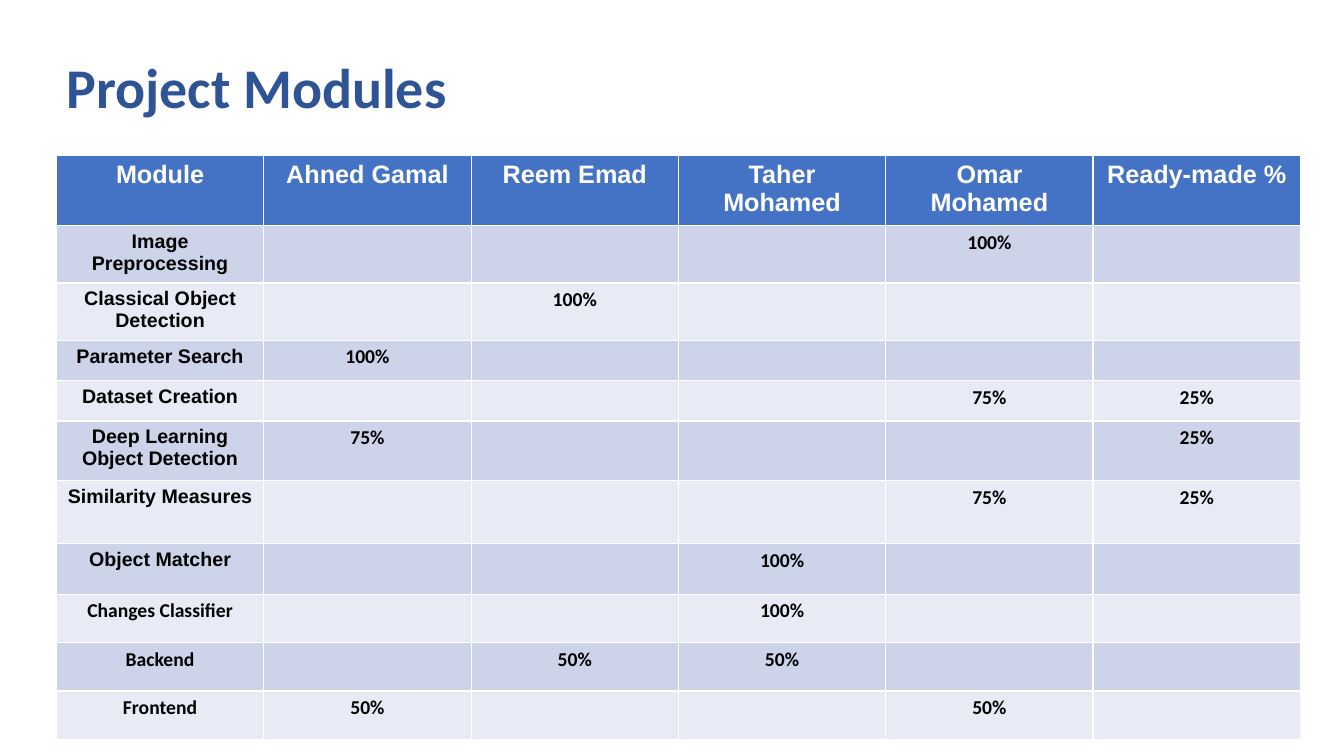
"""Build the project modules slide: a title above a table of work shares."""
from pptx import Presentation
from pptx.dml.color import RGBColor
from pptx.enum.text import MSO_AUTO_SIZE, PP_ALIGN
from pptx.util import Inches, Pt

CENTER = PP_ALIGN.CENTER
GROW = MSO_AUTO_SIZE.SHAPE_TO_FIT_TEXT

COLORS = {
    "title": "2F5496",
    "header": "4472C4",
    "header_text": "FFFFFF",
    "odd_row": "CDD4EA",
    "even_row": "E8EBF5",
    "text": "000000",
}

PAGE_WIDTH, PAGE_HEIGHT = 13.33, 7.5
LEFT = 0.56
TABLE_TOP, TABLE_WIDTH = 1.54, 12.34

HEADINGS = ["Module", "Ahned Gamal", "Reem Emad", "Taher Mohamed",
            "Omar Mohamed", "Ready-made %"]
HEADER_HEIGHT = 0.7

MODULES = [
    ("Image Preprocessing", "Arial", 0.56, {"Omar Mohamed": 100}),
    ("Classical Object Detection", "Arial", 0.56, {"Reem Emad": 100}),
    ("Parameter Search", "Arial", 0.4, {"Ahned Gamal": 100}),
    ("Dataset Creation", "Arial", 0.4, {"Omar Mohamed": 75, "Ready-made %": 25}),
    ("Deep Learning Object Detection", "Arial", 0.59,
     {"Ahned Gamal": 75, "Ready-made %": 25}),
    ("Similarity Measures", "Arial", 0.63, {"Omar Mohamed": 75, "Ready-made %": 25}),
    ("Object Matcher", "Arial", 0.5, {"Taher Mohamed": 100}),
    ("Changes Classifier", "Calibri", 0.48, {"Taher Mohamed": 100}),
    ("Backend", "Calibri", 0.48, {"Reem Emad": 50, "Taher Mohamed": 50}),
    ("Frontend", "Calibri", 0.48, {"Ahned Gamal": 50, "Omar Mohamed": 50}),
]


def color(name):
    """Return the named colour."""
    return RGBColor.from_string(COLORS[name])


def style_text(para, face, size, color_name):
    """Set the bold font of a paragraph."""
    font = para.font
    font.name, font.size, font.bold = face, Pt(size), True
    font.color.rgb = color(color_name)


def add_title(page, text):
    """Add the slide title."""
    box = page.shapes.add_textbox(Inches(LEFT), Inches(0.47), Inches(4.9), Inches(0.77))
    frame = box.text_frame
    frame.word_wrap = True
    frame.auto_size = GROW
    frame.text = text
    style_text(frame.paragraphs[0], "Calibri", 40, "title")


def fill_cell(cell, fill, text, face, size, text_color):
    """Fill a cell and write its centred text, if it has any."""
    cell.fill.solid()
    cell.fill.fore_color.rgb = color(fill)
    if text:
        cell.text = text
        para = cell.text_frame.paragraphs[0]
        para.alignment = CENTER
        style_text(para, face, size, text_color)


def add_module_table(page):
    """Add the table of each person's share in each module."""
    heights = [HEADER_HEIGHT] + [height for _, _, height, _ in MODULES]
    table = page.shapes.add_table(
        len(heights), len(HEADINGS), Inches(LEFT), Inches(TABLE_TOP),
        Inches(TABLE_WIDTH), Inches(sum(heights))).table
    for row, height in zip(table.rows, heights):
        row.height = Inches(height)
    for column, heading in enumerate(HEADINGS):
        fill_cell(table.cell(0, column), "header", heading, "Arial", 18, "header_text")
    for row, (module, face, _, shares) in enumerate(MODULES, start=1):
        fill = "odd_row" if row % 2 else "even_row"
        fill_cell(table.cell(row, 0), fill, module, face, 14, "text")
        for column, person in enumerate(HEADINGS[1:], start=1):
            share = f"{shares[person]}%" if person in shares else ""
            fill_cell(table.cell(row, column), fill, share, "Calibri", 14, "text")


def main():
    """Create the deck and save it."""
    deck = Presentation()
    deck.slide_width, deck.slide_height = Inches(PAGE_WIDTH), Inches(PAGE_HEIGHT)
    page = deck.slides.add_slide(deck.slide_layouts[6])
    add_title(page, "Project Modules")
    add_module_table(page)
    deck.save("out.pptx")


if __name__ == "__main__":
    main()
